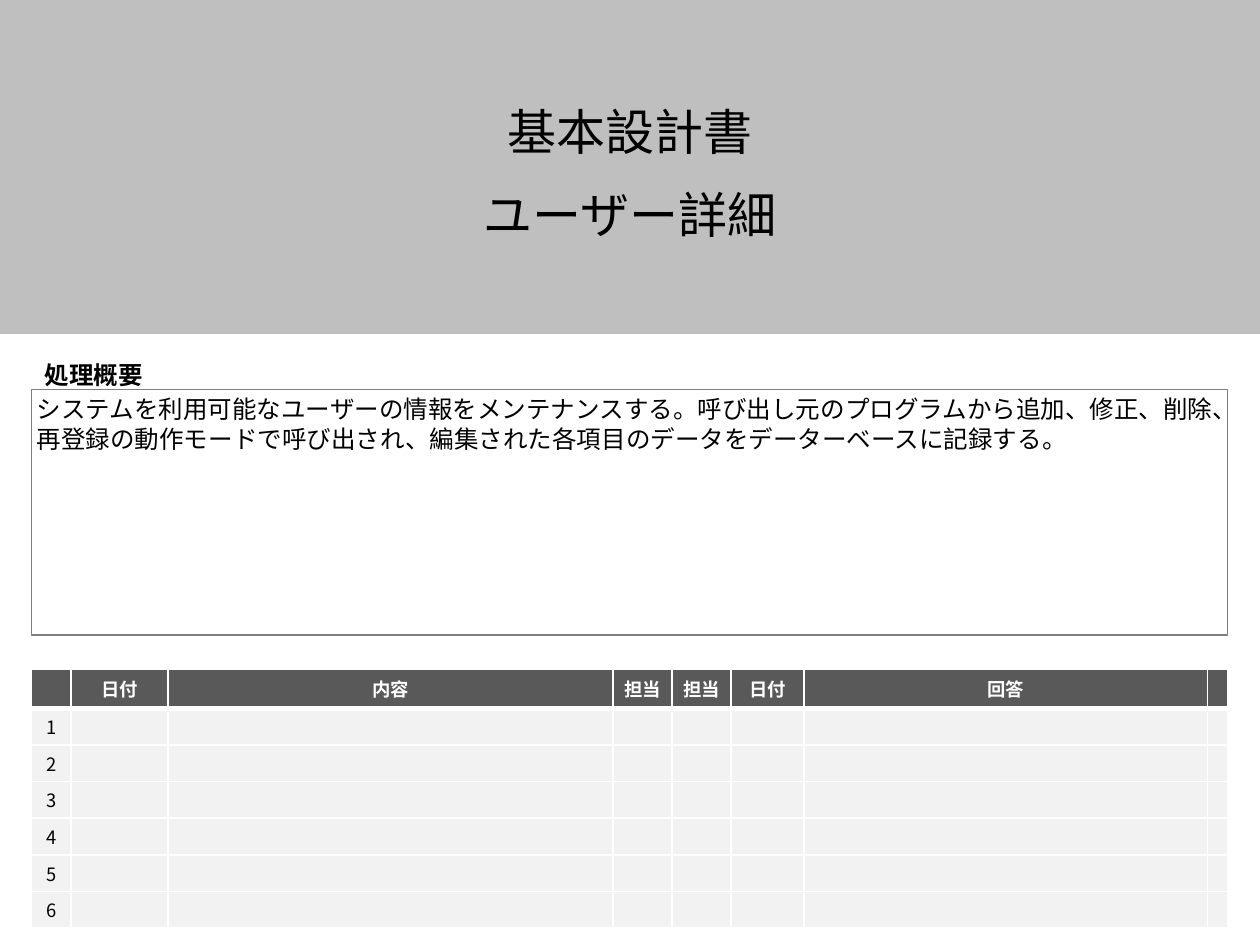
from lxml import etree
from pptx import Presentation
from pptx.dml.color import RGBColor
from pptx.enum import shapes, text
from pptx.oxml.ns import qn
from pptx.util import Cm, Pt

FONT = "Noto Sans CJK JP"
BLACK = RGBColor(0x00, 0x00, 0x00)
WHITE = RGBColor(0xFF, 0xFF, 0xFF)
BAND = RGBColor(0xBF, 0xBF, 0xBF)
EDGE = RGBColor(0x80, 0x80, 0x80)
HEAD = RGBColor(0x59, 0x59, 0x59)
ROW = RGBColor(0xF2, 0xF2, 0xF2)
LEFT, MID = text.PP_ALIGN.LEFT, text.PP_ALIGN.CENTER
TOP, CENTER = text.MSO_ANCHOR.TOP, text.MSO_ANCHOR.MIDDLE
LABELS = ["", "日付", "内容", "担当", "担当", "日付", "回答", ""]
WIDTHS = [0.79, 1.96, 8.97, 1.19, 1.19, 1.47, 8.13, 0.41]


def put(frame, words, size=14, color=BLACK, bold=False, align=LEFT):
    """Write one formatted paragraph into a text frame."""
    para = frame.paragraphs[0]
    para.alignment = align
    para.space_before = Pt(0)
    if not words:
        etree.SubElement(para._p, qn("a:endParaRPr"), sz=str(int(size * 100)))
        return
    run = para.add_run()
    run.text = words
    font = run.font
    font.name, font.size, font.bold = FONT, Pt(size), bold
    font.color.rgb = color
    etree.SubElement(font._element, qn("a:ea"), typeface=FONT)


def place(shape, left, top, width, height):
    """Set the box of a shape in centimetres."""
    shape.left, shape.top = Cm(left), Cm(top)
    shape.width, shape.height = Cm(width), Cm(height)


def setup(frame, inset, anchor=TOP):
    """Set equal insets, wrapping and anchor of a text frame."""
    frame.margin_left = frame.margin_right = Cm(inset)
    frame.margin_top = frame.margin_bottom = Cm(inset)
    frame.word_wrap = True
    frame.auto_size = text.MSO_AUTO_SIZE.NONE
    frame.vertical_anchor = anchor


def banner(slide, left, top, width, height):
    """Draw the grey band with the document name and the title."""
    band = slide.shapes.add_shape(
        shapes.MSO_SHAPE.RECTANGLE, Cm(left), Cm(top), Cm(width), Cm(height))
    band.shadow.inherit = False
    band.fill.solid()
    band.fill.fore_color.rgb = BAND
    band.line.fill.background()
    slide.shapes._spTree.insert(2, band._element)
    name = slide.shapes.add_textbox(0, 0, 0, 0)
    for box, words, drop, tall in ((name, "基本設計書", 1.91, 1.45),
                                   (slide.shapes.title, "ユーザー詳細", 3.58, 2.41)):
        place(box, left + 1.91, top + drop, width - 3.82, tall)
        setup(box.text_frame, 0.13)
        put(box.text_frame, words, size=28, align=MID)


def summary(slide, left, top, width, height):
    """Place the section label and the framed outline text."""
    label = slide.shapes.add_textbox(Cm(left), Cm(top), Cm(2.51), Cm(0.61))
    setup(label.text_frame, 0, CENTER)
    put(label.text_frame, "処理概要", bold=True, align=MID)
    body = slide.placeholders[1]
    place(body, left, top + 0.61, width, height - 0.61)
    body.line.color.rgb = EDGE
    body.line.width = Pt(0.75)
    setup(body.text_frame, 0.1)
    put(body.text_frame,
        "システムを利用可能なユーザーの情報をメンテナンスする。"
        "呼び出し元のプログラムから追加、修正、削除、再登録の動作モードで呼び出され、"
        "編集された各項目のデータをデーターベースに記録する。")
    props = body.text_frame.paragraphs[0]._p.get_or_add_pPr()
    props.set("marL", "0")
    props.set("indent", "0")
    etree.SubElement(props, qn("a:buNone"))


def border(cell, base):
    """Draw white cell borders, with the bottom one of a given width."""
    props = cell._tc.get_or_add_tcPr()
    for side, width in (("L", 1), ("R", 1), ("T", 1), ("B", base)):
        line = etree.SubElement(props, qn("a:ln" + side), w=str(int(Pt(width))))
        fill = etree.SubElement(line, qn("a:solidFill"))
        etree.SubElement(fill, qn("a:srgbClr"), val=str(WHITE))


def review(slide, left, top, width, height, count=6):
    """Build the review table with numbered empty rows."""
    table = slide.shapes.add_table(
        count + 1, len(LABELS), Cm(left), Cm(top), Cm(width), Cm(height)).table
    for col, size in zip(table.columns, WIDTHS):
        col.width = Cm(size)
    first = 0.79
    rows = [LABELS] + [[str(n)] + [""] * (len(LABELS) - 1)
                       for n in range(1, count + 1)]
    for i, words in enumerate(rows):
        head = i == 0
        table.rows[i].height = Cm(first if head else (height - first) / count)
        for j, word in enumerate(words):
            cell = table.cell(i, j)
            cell.margin_left = cell.margin_right = 0
            cell.margin_top = cell.margin_bottom = 0
            cell.vertical_anchor = CENTER
            border(cell, 3 if head else 1)
            cell.fill.solid()
            cell.fill.fore_color.rgb = HEAD if head else ROW
            put(cell.text_frame, word, size=10.5, bold=head, align=MID,
                color=WHITE if head else BLACK)


def main():
    """Build the slide and save it."""
    deck = Presentation()
    deck.slide_width, deck.slide_height = Cm(25.4), Cm(19.05)
    slide = deck.slides.add_slide(deck.slide_layouts[1])
    banner(slide, 0, 0, 25.4, 6.73)
    summary(slide, 0.64, 7.24, 24.11, 5.56)
    review(slide, 0.64, 13.49, 24.11, 5.22)
    deck.save("out.pptx")


if __name__ == "__main__":
    main()
